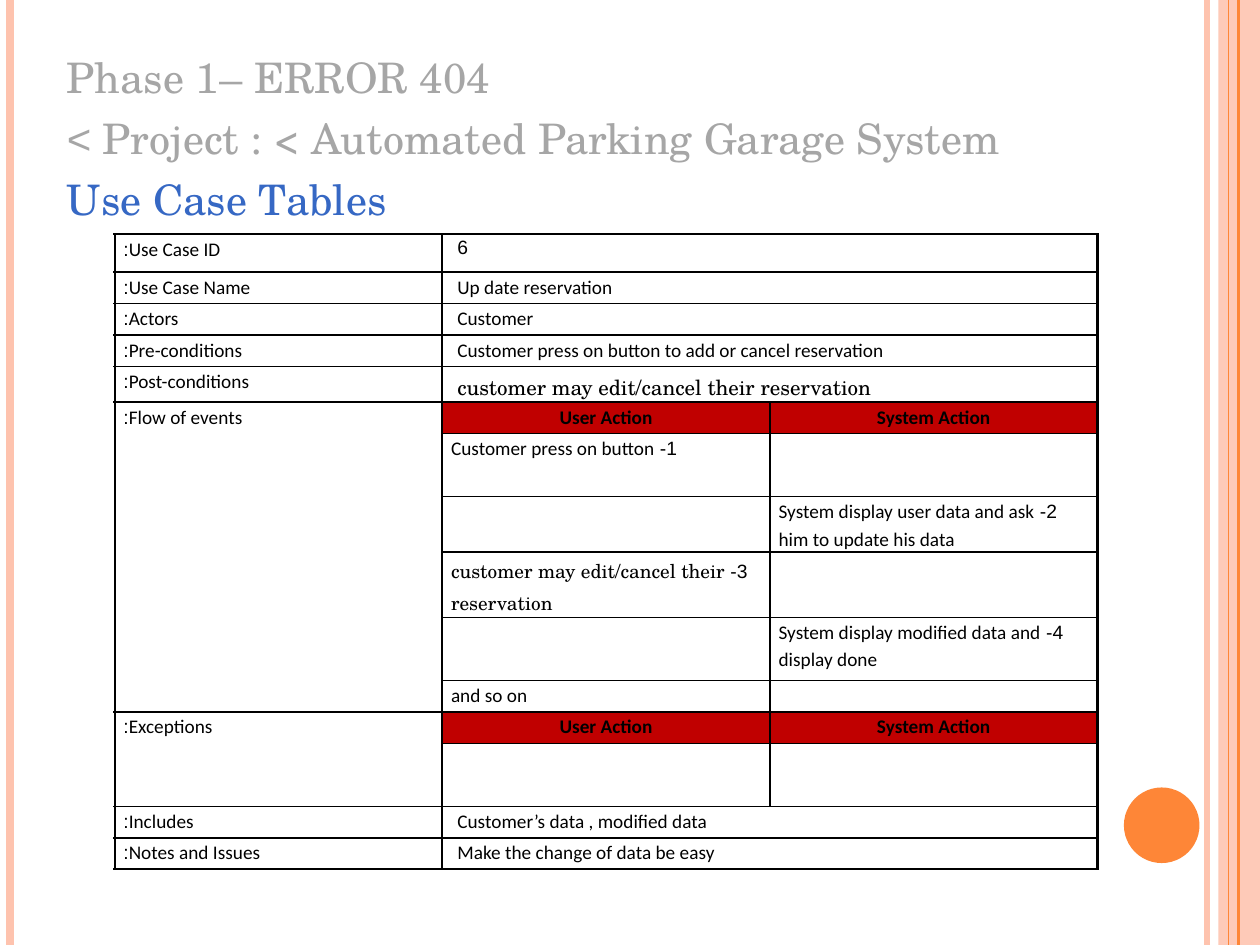
from lxml.etree import SubElement
from pptx import Presentation
from pptx.dml.color import RGBColor
from pptx.enum.shapes import MSO_CONNECTOR, MSO_SHAPE
from pptx.enum.text import MSO_ANCHOR, MSO_AUTO_SIZE, PP_ALIGN
from pptx.oxml import parse_xml
from pptx.oxml.ns import nsdecls, qn
from pptx.util import Inches, Pt

SERIF, SANS = "TeX Gyre Schola", "Calibri"


def color(hex_text):
    """Return the colour for a hex string."""
    return RGBColor.from_string(hex_text)


def add_rtl_run(paragraph, text, font_name, size, hex_text, bold=False):
    """Add a formatted run to a paragraph that reads right to left."""
    run = paragraph.add_run()
    run.text = text
    font_format = {"name": font_name, "size": Pt(size), "bold": bold}
    for name, value in font_format.items():
        setattr(run.font, name, value)
    run.font.color.rgb = color(hex_text)
    SubElement(run._r.get_or_add_rPr(), qn("a:cs")).set("typeface", "Arial")
    paragraph._p.get_or_add_pPr().set("rtl", "1")


presentation = Presentation()
presentation.slide_width, presentation.slide_height = Inches(10), Inches(7.5)
slide = presentation.slides.add_slide(presentation.slide_layouts[1])
title = slide.shapes.title
title._element.getparent().remove(title._element)

# Side decoration
band = slide.shapes.add_shape(
    MSO_SHAPE.RECTANGLE, Inches(9.67), 0, Inches(0.33), Inches(7.5))
circle = slide.shapes.add_shape(
    MSO_SHAPE.OVAL, Inches(8.92), Inches(6.25), Inches(0.6), Inches(0.6))
for shape, fill in ((band, "FEC3AE"), (circle, "FE8637")):
    shape.shadow.inherit = False
    shape.fill.solid()
    shape.fill.fore_color.rgb = color(fill)
    shape.line.fill.background()
band_color = band._element.spPr.find(qn("a:solidFill"))[0]
SubElement(band_color, qn("a:alpha")).set("val", "87000")

for x, line_color, width in ((9.58, "FEC3AE", 3), (0.08, "FEC3AE", 4.5),
                             (9.83, "FE8637", 1.5), (9.75, "FE8637", 0.75)):
    line = slide.shapes.add_connector(
        MSO_CONNECTOR.STRAIGHT, Inches(x), 0, Inches(x), Inches(7.5))
    line.line.color.rgb = color(line_color)
    line.line.width = Pt(width)
    SubElement(line._element.spPr, qn("a:effectLst"))

# Headings
body = slide.placeholders[1]
body_format = {"left": 0.43, "top": 0.36, "width": 8.9, "height": 6.72}
for name, value in body_format.items():
    setattr(body, name, Inches(value))
body.text_frame.auto_size = MSO_AUTO_SIZE.NONE
headings = (("Phase 1– ERROR 404", "A6A6A6"),
            ("Project : < Automated Parking Garage System >", "A6A6A6"),
            ("Use Case Tables", "3668C4"))
for index, (text, text_color) in enumerate(headings):
    frame = body.text_frame
    paragraph = frame.add_paragraph() if index else frame.paragraphs[0]
    paragraph.alignment = PP_ALIGN.LEFT
    paragraph.space_before = Pt(6)
    add_rtl_run(paragraph, text, SERIF, 24, text_color)
    properties = paragraph._p.get_or_add_pPr()
    properties.set("marL", "0")
    properties.set("indent", "0")
    SubElement(properties, qn("a:buNone"))

# Use case table
edit_text = ("customer may edit/cancel their reservation", SERIF)
header = ("User Action", "System Action")
rows = (
    (0.3, "Use Case ID:", "6"),
    (0.25, "Use Case Name:", "Up date reservation"),
    (0.25, "Actors:", "Customer"),
    (0.25, "Pre-conditions:",
     "Customer press on button to add or cancel reservation"),
    (0.25, "Post-conditions:", [(*edit_text, 12)]),
    (0.25, "Flow of events:", *header),
    (0.5, "", "1- Customer press on button", ""),
    (0.44, "", "", "2- System display user data and ask him to update his data"),
    (0.5, "", [("3- ", SANS, 11), (*edit_text, 11)], ""),
    (0.5, "", "", "4- System display modified data and display done"),
    (0.25, "", "and so on", ""),
    (0.25, "Exceptions:", *header),
    (0.5, "", "", ""),
    (0.25, "Includes:", "Customer’s data , modified data"),
    (0.25, "Notes and Issues:", "Make the change of data be easy"),
)
table = slide.shapes.add_table(
    len(rows), 3, Inches(0.91), Inches(1.86), Inches(7.8), Inches(5.04)).table
table.first_row = table.horz_banding = False
for column in table.columns:
    column.width = Inches(2.6)
vertical_widths = (1.5, 1, 1.5, 1.5)
horizontal_widths = (1.5, *[1] * (len(rows) - 1), 1.5)

for row_index, (height, *contents) in enumerate(rows):
    table.rows[row_index].height = Inches(height)
    wide = len(contents) == 2
    for column_index in range(3):
        cell = table.cell(row_index, column_index)
        content = contents[column_index] if column_index < len(contents) else ""
        is_header = content in header
        indented = wide and column_index == 1
        cell_format = {"margin_left": Inches(0.12 if indented else 0.07),
                       "margin_right": Inches(0.07), "margin_top": 0,
                       "margin_bottom": 0, "vertical_anchor": MSO_ANCHOR.TOP}
        for name, value in cell_format.items():
            setattr(cell, name, value)
        if is_header:
            cell.fill.solid()
            cell.fill.fore_color.rgb = color("C00000")
        else:
            cell.fill.background()
        borders = {"lnL": vertical_widths[column_index],
                   "lnR": vertical_widths[column_index + 1],
                   "lnT": horizontal_widths[row_index],
                   "lnB": horizontal_widths[row_index + 1]}
        for position, (tag, width) in enumerate(borders.items()):
            cell._tc.get_or_add_tcPr().insert(position, parse_xml(
                f'<a:{tag} {nsdecls("a")} w="{Pt(width)}"><a:solidFill>'
                f'<a:srgbClr val="000000"/></a:solidFill></a:{tag}>'))

        paragraph = cell.text_frame.paragraphs[0]
        if not content:
            SubElement(paragraph._p, qn("a:endParaRPr")).set("sz", "1100")
            continue
        paragraph_format = {
            "alignment": PP_ALIGN.CENTER if is_header else PP_ALIGN.LEFT,
            "line_spacing": 1.15, "space_after": Pt(10)}
        for name, value in paragraph_format.items():
            setattr(paragraph, name, value)
        runs = [(content, SANS, 11)] if isinstance(content, str) else content
        for text, font_name, size in runs:
            add_rtl_run(paragraph, text, font_name, size, "000000", is_header)
    if wide:
        table.cell(row_index, 1).merge(table.cell(row_index, 2))

for first_row, last_row in ((5, 10), (11, 12)):
    table.cell(first_row, 0).merge(table.cell(last_row, 0))

presentation.save("out.pptx")
